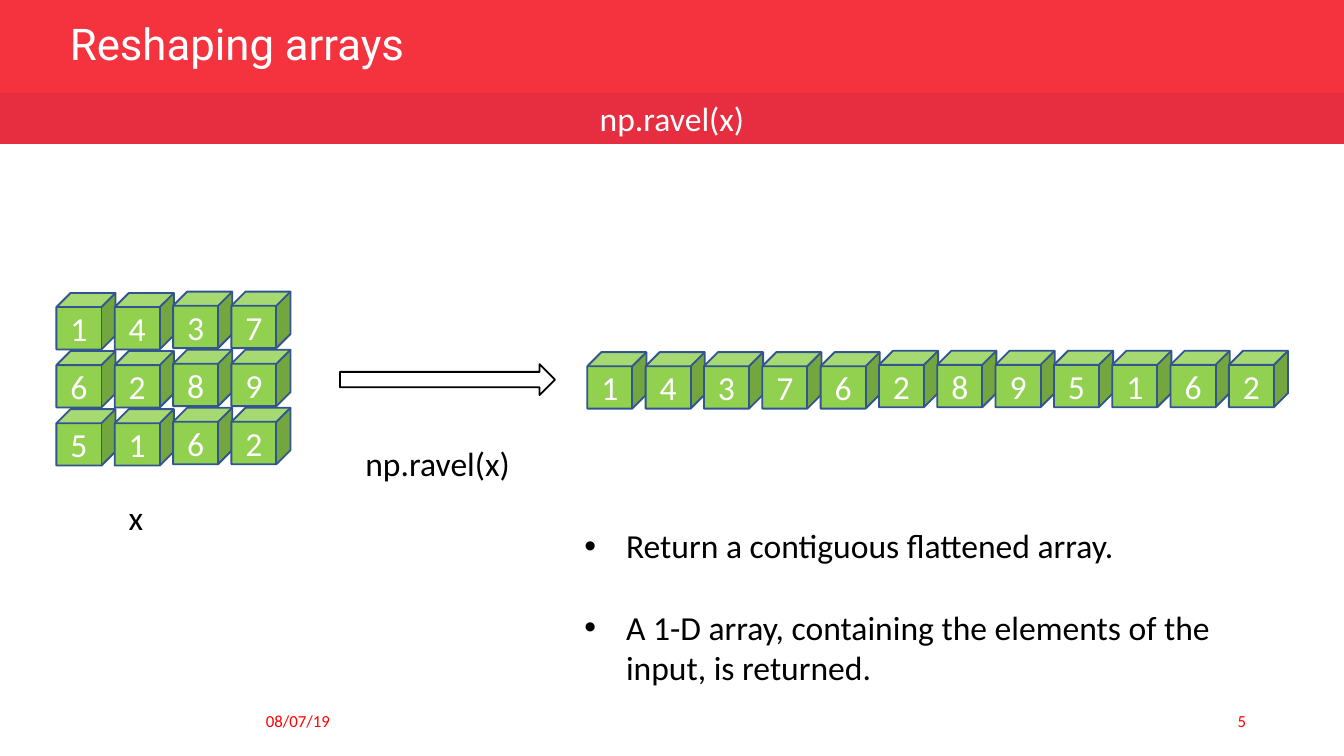
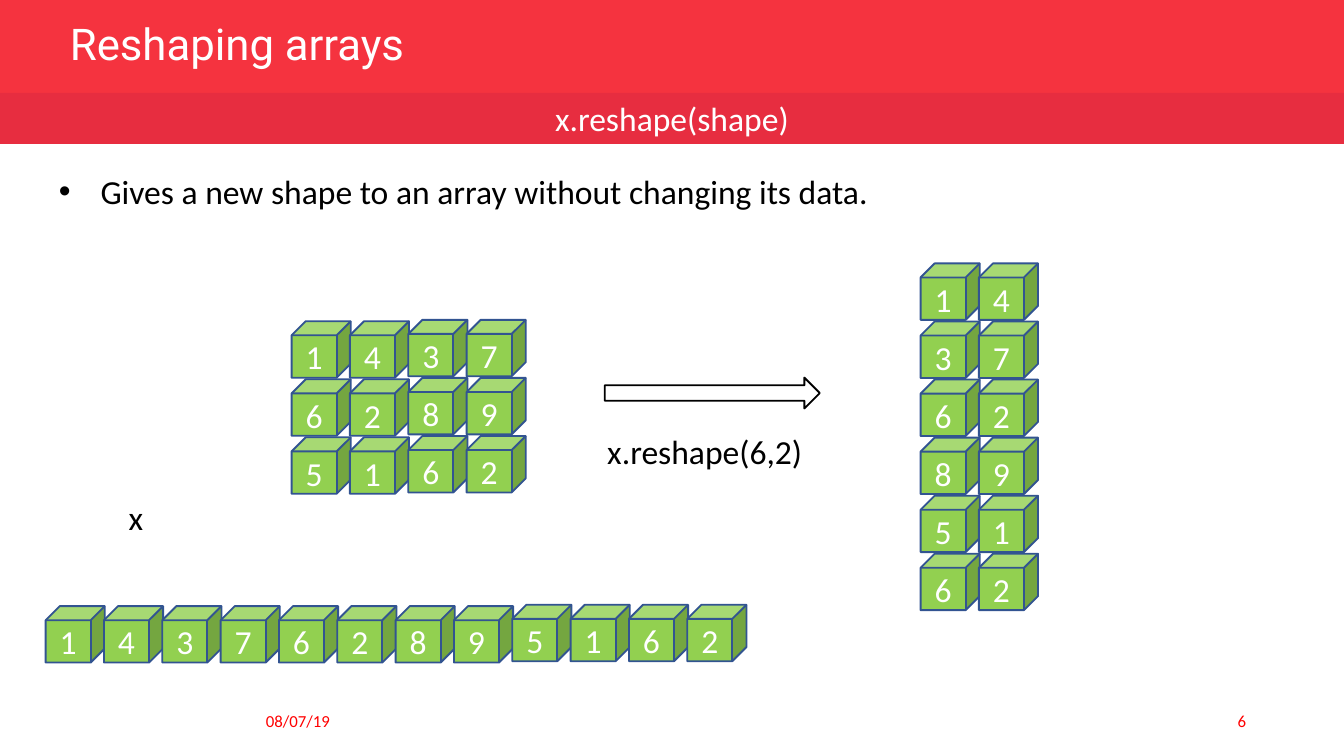
"""Two slides on reshaping arrays, laid out on a grid 100 columns wide."""
import dataclasses
import typing

import lxml.etree
import pptx
import pptx.dml.color
import pptx.enum.shapes
import pptx.enum.text
import pptx.oxml.ns
import pptx.slide
import pptx.util

INK = {
    "head": "F5333F", "band": "E72D40", "cube": "92D050", "edge": "325491",
    "foot": "FF0000", "white": "FFFFFF", "black": "000000",
}
CELL = pptx.util.Inches(0.1)
WIDE, HIGH = 100, 56.25
CUBE_W, CUBE_H = 4.4, 4.2
STEP_X, STEP_Y = 4.34, 4.32
RAISE = 0.1
INDENT = 3.1
DATA = "143762895162"
SHAPE = pptx.enum.shapes.MSO_SHAPE
ALIGN = pptx.enum.text.PP_ALIGN
ANCHOR = pptx.enum.text.MSO_ANCHOR
FIT = pptx.enum.text.MSO_AUTO_SIZE


class Box(typing.NamedTuple):
    """A place in grid cells."""
    x: float
    y: float
    w: float
    h: float


@dataclasses.dataclass(frozen=True)
class Style:
    """How a line of text looks."""
    size: float = 18
    ink: str = "black"
    font: str = "Calibri"
    align: typing.Any = ALIGN.LEFT


@dataclasses.dataclass(frozen=True)
class Array:
    """A block of cubes, with columns from lift onward set a little higher."""
    x: float
    y: float
    cols: int
    lift: int


@dataclasses.dataclass(frozen=True)
class Page:
    """All that differs from slide to slide."""
    number: str
    call: str
    arrays: tuple[Array, ...]
    arrow: Box
    label: str
    label_box: Box
    facts: tuple[str, ...]
    facts_box: Box


BODY = Style()
LIGHT = Style(ink="white", align=ALIGN.CENTER)
HEAD = Style(23.4, "white", "Roboto")
DATE = Style(9, "foot")
COUNT = Style(9, "foot", align=ALIGN.RIGHT)

PAGES = (
    Page("5", "np.ravel(x)",
         (Array(4.2, 21.8, 4, 2), Array(43.7, 26.2, 12, 5)),
         Box(25.3, 27.1, 16, 2.3),
         "np.ravel(x)", Box(26.2, 32.5, 13.9, 4),
         ("Return a contiguous flattened array.",
          "A 1-D array, containing the elements of the input, is returned."),
         Box(42.5, 38.6, 51.2, 13.1)),
    Page("6", "x.reshape(shape)",
         (Array(21.7, 23.9, 4, 2), Array(68.5, 19.6, 2, 2),
          Array(3.4, 45.1, 12, 8)),
         Box(45, 28.1, 16, 2.3),
         "x.reshape(6,2)", Box(44.2, 31.6, 20, 4),
         ("Gives a new shape to an array without changing its data.",),
         Box(3.4, 12.2, 83.7, 4)),
)


def cells(count: float) -> int:
    """Turn grid cells into a length."""
    return round(count * CELL)


def tint(ink: str) -> pptx.dml.color.RGBColor:
    """Look up a colour."""
    return pptx.dml.color.RGBColor.from_string(INK[ink])


def write(para: typing.Any, text: str, style: Style) -> None:
    """Add one run to a paragraph."""
    para.alignment = style.align
    run = para.add_run()
    run.text = text
    run.font.size = pptx.util.Pt(style.size)
    run.font.name = style.font
    run.font.color.rgb = tint(style.ink)


def draw(shapes: typing.Any, kind: typing.Any, box: Box, fill: str,
         line: str = "", text: str = "") -> typing.Any:
    """Add a preset shape, with centred text if there is any."""
    shape = shapes.add_shape(kind, *map(cells, box))
    shape.shadow.inherit = False
    shape.fill.solid()
    shape.fill.fore_color.rgb = tint(fill)
    if line:
        shape.line.color.rgb = tint(line)
        shape.line.width = pptx.util.Pt(1)
    else:
        shape.line.fill.background()
    if text:
        frame = shape.text_frame
        frame.margin_left = frame.margin_right = 0
        frame.vertical_anchor = ANCHOR.MIDDLE
        write(frame.paragraphs[0], text, LIGHT)
    return shape


def place(slide: pptx.slide.Slide, box: Box, style: Style,
          *lines: str, mark: bool = False) -> typing.Any:
    """Add a text box, one paragraph a line, and return its frame."""
    frame = slide.shapes.add_textbox(*map(cells, box)).text_frame
    frame.word_wrap = True
    frame.auto_size = FIT.SHAPE_TO_FIT_TEXT
    for index, line in enumerate(lines):
        para = frame.add_paragraph() if index else frame.paragraphs[0]
        if index:
            para.space_before = pptx.util.Pt(22)
        write(para, line, style)
        if mark:
            bullet(para)
    return frame


def bullet(para: typing.Any) -> None:
    """Give a paragraph a hanging bullet."""
    props = para._p.get_or_add_pPr()
    props.set("marL", str(cells(INDENT)))
    props.set("indent", str(-cells(INDENT)))
    name = pptx.oxml.ns.qn
    lxml.etree.SubElement(props, name("a:buFont")).set("typeface", "Arial")
    lxml.etree.SubElement(props, name("a:buChar")).set("char", "•")


def stack(slide: pptx.slide.Slide, array: Array) -> None:
    """Draw the data as a group of cubes."""
    group = slide.shapes.add_group_shape()
    for index, digit in enumerate(DATA):
        row, col = divmod(index, array.cols)
        rise = RAISE if col >= array.lift else 0
        box = Box(array.x + col * STEP_X, array.y + row * STEP_Y - rise,
                  CUBE_W, CUBE_H)
        draw(group.shapes, SHAPE.CUBE, box, "cube", "edge", digit)


def frame_up(slide: pptx.slide.Slide, page: Page) -> None:
    """Add the title, bands and footers that slides share."""
    title = slide.shapes.title
    title.left, title.top, title.width, title.height = map(
        cells, Box(4.2, 1.4, 46.9, 4.4))
    frame = title.text_frame
    frame.auto_size = FIT.NONE
    frame.vertical_anchor = ANCHOR.MIDDLE
    para = frame.paragraphs[0]
    para.line_spacing = 0.8
    write(para, "Reshaping arrays", HEAD)
    top = draw(slide.shapes, SHAPE.RECTANGLE, Box(0, 0, WIDE, 7), "head")
    title.element.addprevious(top.element)
    draw(slide.shapes, SHAPE.RECTANGLE, Box(0, 6.9, WIDE, 3.8), "band",
         text=page.call)
    for x, text, style in ((18.8, "08/07/19", DATE),
                           (71.2, page.number, COUNT)):
        foot = place(slide, Box(x, 52.1, 22.5, 3), style, text)
        foot.auto_size = FIT.NONE
        foot.vertical_anchor = ANCHOR.MIDDLE


def build(deck: typing.Any, page: Page) -> None:
    """Add one slide."""
    slide = deck.slides.add_slide(deck.slide_layouts[5])
    frame_up(slide, page)
    for array in page.arrays:
        stack(slide, array)
    draw(slide.shapes, SHAPE.RIGHT_ARROW, page.arrow, "white", "black")
    place(slide, page.label_box, BODY, page.label)
    place(slide, Box(8.6, 36.5, 4.4, 4), BODY, "x")
    place(slide, page.facts_box, BODY, *page.facts, mark=True)


def main() -> None:
    """Build and save the deck."""
    deck = pptx.Presentation()
    deck.slide_width, deck.slide_height = cells(WIDE), cells(HIGH)
    for page in PAGES:
        build(deck, page)
    deck.save("out.pptx")


if __name__ == "__main__":
    main()
